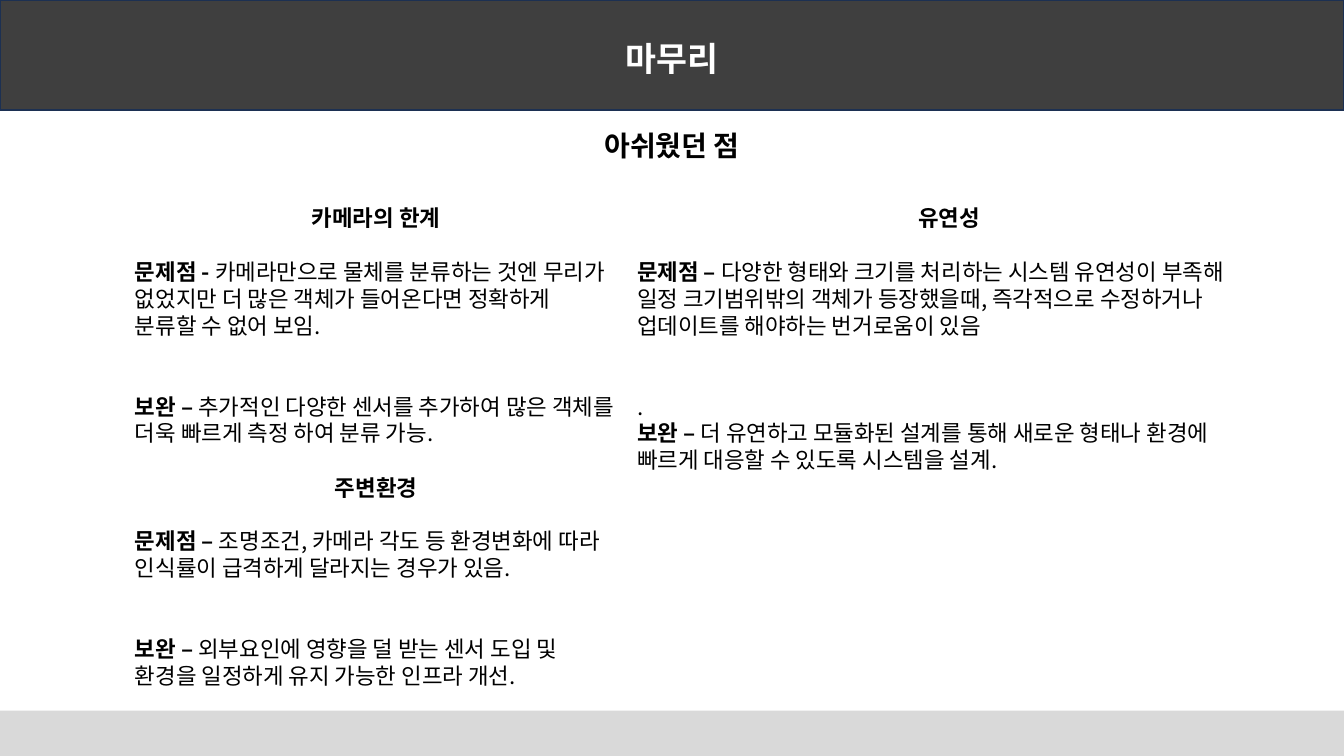
from dataclasses import dataclass

from lxml import etree
from pptx import Presentation
from pptx import util as u
from pptx.dml.color import RGBColor
from pptx.enum import shapes, text
from pptx.oxml import ns
from pptx.slide import Slide

FONT = "Noto Sans CJK KR"
LINE_FACTOR = 1.2
COLORS = {
    "header": "3F3F3F",
    "header_line": "1C3052",
    "footer": "D9D9D9",
    "title": "FFFFFF",
    "body": "000000",
}


@dataclass(frozen=True)
class Span:
    words: str
    bold: bool = True


@dataclass(frozen=True)
class Para:
    spans: tuple[Span, ...]
    lines_before: int = 0
    centered: bool = False


@dataclass(frozen=True)
class Area:
    left: float
    top: float
    width: float
    height: float

    def lengths(self) -> tuple[u.Length, ...]:
        return tuple(u.Inches(v) for v in (self.left, self.top, self.width, self.height))


@dataclass(frozen=True)
class Topic:
    area: Area
    heading: str
    problem_label: str
    problem: str
    remedy: str
    stray_mark: str = ""


TOPICS = (
    Topic(
        Area(1.24, 1.98, 4.98, 2.52),
        "카메라의 한계",
        "문제점 - ",
        "카메라만으로 물체를 분류하는 것엔 무리가 없었지만 더 많은 객체가 들어온다면 정확하게 분류할 수 없어 보임.",
        "추가적인 다양한 센서를 추가하여 많은 객체를 더욱 빠르게 측정 하여 분류 가능.",
    ),
    Topic(
        Area(1.24, 4.65, 4.98, 2.26),
        "주변환경",
        "문제점 – ",
        "조명조건, 카메라 각도 등 환경변화에 따라 인식률이 급격하게 달라지는 경우가 있음.",
        "외부요인에 영향을 덜 받는 센서 도입 및 환경을 일정하게 유지 가능한 인프라 개선.",
    ),
    Topic(
        Area(6.22, 1.98, 6.39, 2.79),
        "유연성",
        "문제점 – ",
        "다양한 형태와 크기를 처리하는 시스템 유연성이 부족해 일정 크기범위밖의 객체가 등장했을때, 즉각적으로 수정하거나 업데이트를 해야하는 번거로움이 있음",
        "더 유연하고 모듈화된 설계를 통해 새로운 형태나 환경에 빠르게 대응할 수 있도록 시스템을 설계.",
        ".",
    ),
)


def add_band(page: Slide, area: Area, fill: str, line: str = "") -> None:
    band = page.shapes.add_shape(shapes.MSO_SHAPE.RECTANGLE, *area.lengths())
    band.shadow.inherit = False
    band.fill.solid()
    band.fill.fore_color.rgb = RGBColor.from_string(COLORS[fill])
    if line:
        band.line.color.rgb = RGBColor.from_string(COLORS[line])
        band.line.width = u.Pt(1)
    else:
        band.line.fill.background()


def add_text(
    page: Slide, area: Area, paras: tuple[Para, ...], *, size: float = 16, color: str = "body"
) -> None:
    box = page.shapes.add_textbox(*area.lengths())
    frame = box.text_frame
    frame.word_wrap = True
    line_height = size * LINE_FACTOR
    for index, content in enumerate(paras):
        para = frame.add_paragraph() if index else frame.paragraphs[0]
        para.line_spacing = u.Pt(line_height)
        if content.lines_before:
            para.space_before = u.Pt(content.lines_before * line_height)
        if content.centered:
            para.alignment = text.PP_ALIGN.CENTER
        for part in content.spans:
            span = para.add_run()
            span.text = part.words
            span.font.size = u.Pt(size)
            span.font.bold = part.bold
            span.font.color.rgb = RGBColor.from_string(COLORS[color])
            span.font.name = FONT
            etree.SubElement(span.font._element, ns.qn("a:ea"), typeface=FONT)


def heading(words: str) -> Para:
    return Para((Span(words),), centered=True)


def add_topic(page: Slide, topic: Topic) -> None:
    paras = [
        heading(topic.heading),
        Para((Span(topic.problem_label), Span(topic.problem, False)), lines_before=1),
    ]
    if topic.stray_mark:
        paras.append(Para((Span(topic.stray_mark, False),), lines_before=2))
    remedy_gap = 0 if topic.stray_mark else 2
    paras.append(Para((Span("보완 – "), Span(topic.remedy, False)), lines_before=remedy_gap))
    add_text(page, topic.area, tuple(paras))


def main() -> None:
    deck = Presentation()
    deck.slide_width, deck.slide_height = u.Inches(13.33), u.Inches(7.5)
    page = deck.slides.add_slide(deck.slide_layouts[6])
    add_band(page, Area(0, 0, 13.33, 1.09), "header", "header_line")
    add_band(page, Area(0, 7.05, 13.33, 0.45), "footer")
    add_text(page, Area(4.85, 0.33, 3.63, 0.5), (heading("마무리"),), size=24, color="title")
    add_text(page, Area(5.3, 1.23, 2.73, 0.44), (heading("아쉬웠던 점"),), size=20)
    for topic in TOPICS:
        add_topic(page, topic)
    deck.save("out.pptx")


if __name__ == "__main__":
    main()
